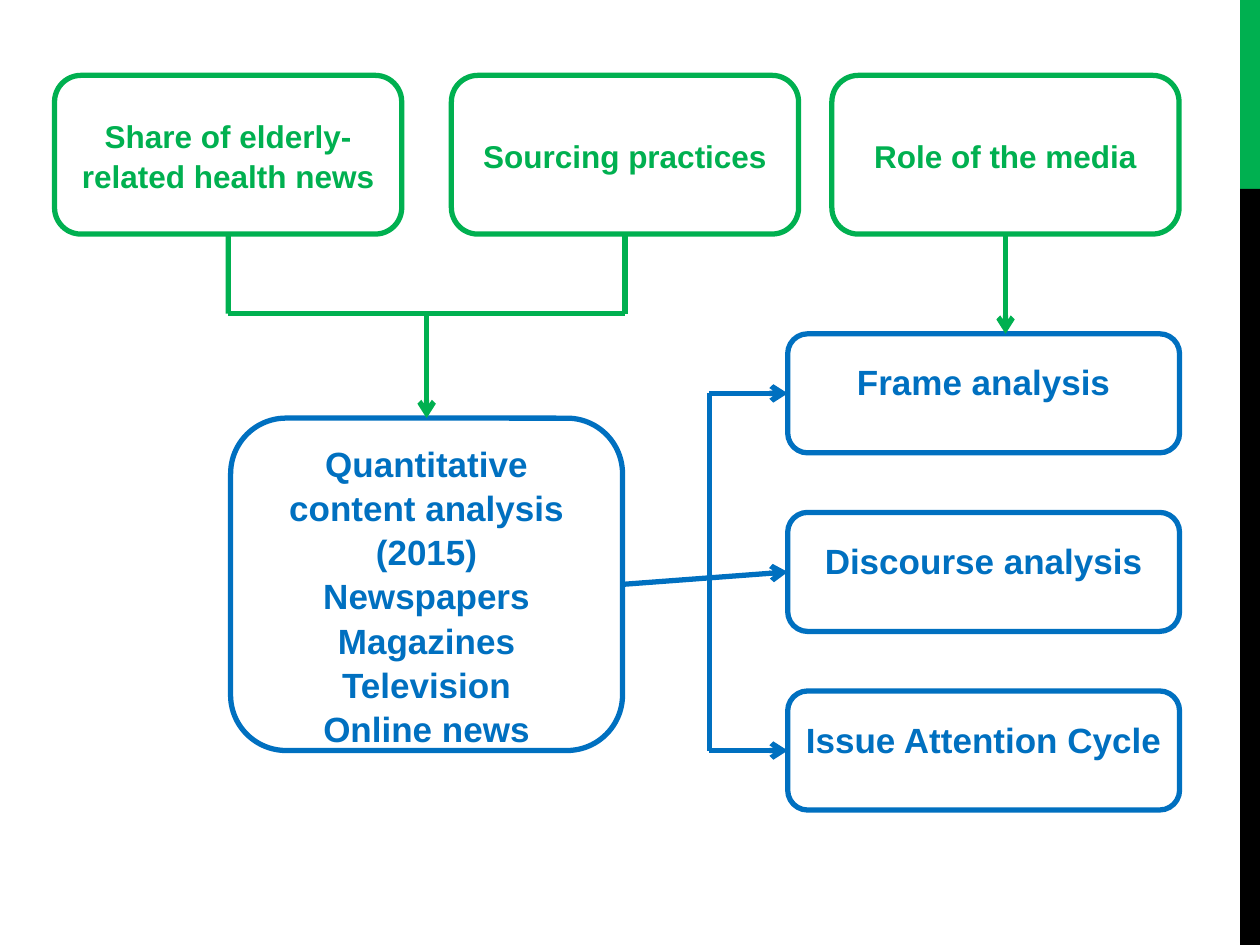
"""Build a research design slide linking themes to analysis methods."""
from lxml import etree
from pptx import Presentation
from pptx.dml.color import RGBColor
from pptx.enum.shapes import MSO_CONNECTOR, MSO_SHAPE
from pptx.enum.text import MSO_ANCHOR, PP_ALIGN
from pptx.oxml.ns import qn
from pptx.util import Cm, Pt

STRAIGHT = MSO_CONNECTOR.STRAIGHT
RECTANGLE, ROUNDED = MSO_SHAPE.RECTANGLE, MSO_SHAPE.ROUNDED_RECTANGLE
TOP, MIDDLE, BOTTOM = MSO_ANCHOR.TOP, MSO_ANCHOR.MIDDLE, MSO_ANCHOR.BOTTOM
CENTER = PP_ALIGN.CENTER
color = RGBColor.from_string
GREEN, BLUE, BLACK = "00B050", "0070C0", "000000"

deck = Presentation()
deck.slide_width, deck.slide_height = Cm(25.4), Cm(19.05)
page = deck.slides.add_slide(deck.slide_layouts[6])


def add_box(place, lines, hue, size, frame_format):
    box = page.shapes.add_shape(ROUNDED, *map(Cm, place))
    box.shadow.inherit = False
    box.fill.background()
    box.line.color.rgb = color(hue)
    box.line.width = Pt(3)
    frame = box.text_frame
    for name, value in {"word_wrap": True, **frame_format}.items():
        setattr(frame, name, value)
    for index, line in enumerate(lines):
        para = frame.paragraphs[0] if index == 0 else frame.add_paragraph()
        para.alignment = CENTER
        para.line_spacing = 1.05
        span = para.add_run()
        span.text = line
        for name, value in {"name": "Arial", "size": Pt(size), "bold": True}.items():
            setattr(span.font, name, value)
        span.font.color.rgb = color(hue)
    return box


def add_line(start, end, hue, arrow=False, source=None, target=None):
    line = page.shapes.add_connector(STRAIGHT, *map(Cm, start + end))
    line.line.color.rgb = color(hue)
    line.line.width = Pt(3)
    if arrow:
        etree.SubElement(line.line._get_or_add_ln(), qn("a:tailEnd"), type="arrow")
    etree.SubElement(line._element.spPr, qn("a:effectLst"))
    if source:
        line.begin_connect(*source)
    if target:
        line.end_connect(*target)


for top, height, hue in ((0, 3.81, GREEN), (3.81, 15.24, BLACK)):
    bar = page.shapes.add_shape(RECTANGLE, Cm(25), Cm(top), Cm(0.4), Cm(height))
    bar.shadow.inherit = False
    bar.fill.solid()
    bar.fill.fore_color.rgb = color(hue)
    bar.line.fill.background()

theme_top, theme_width, theme_height = 1.52, 7, 3.2
theme_bottom = theme_top + theme_height
themes = []
for left, label in (
    (1.1, "Share of elderly-related health news"),
    (9.1, "Sourcing practices"),
    (16.77, "Role of the media"),
):
    place = (left, theme_top, theme_width, theme_height)
    box = add_box(place, [label], GREEN, 18, {"vertical_anchor": MIDDLE})
    themes.append((box, left + theme_width / 2))

content_left, content_top, box_width, content_height = 4.65, 8.43, 7.9, 6.7
content_lines = [
    "Quantitative content analysis",
    "(2015)",
    "Newspapers",
    "Magazines",
    "Television",
    "Online news",
]
content = add_box(
    (content_left, content_top, box_width, content_height),
    content_lines, BLUE, 20, {"vertical_anchor": TOP},
)

method_left, method_top, method_height, method_step = 15.88, 6.73, 2.4, 3.6
method_format = {
    "vertical_anchor": BOTTOM,
    "margin_left": Cm(0.15),
    "margin_right": Cm(0.15),
    "margin_bottom": Cm(0.89),
}
methods = []
for index, label in enumerate(
    ("Frame analysis", "Discourse analysis", "Issue Attention Cycle")
):
    top = method_top + index * method_step
    place = (method_left, top, box_width, method_height)
    box = add_box(place, [label], BLUE, 20, method_format)
    methods.append((box, top + method_height / 2))

join_y = 6.32
for box, x in themes[:2]:
    add_line((x, theme_bottom), (x, join_y), GREEN, source=(box, 2))
add_line((themes[0][1], join_y), (themes[1][1], join_y), GREEN)
content_x = content_left + box_width / 2
add_line((content_x, join_y), (content_x, content_top), GREEN, True, target=(content, 0))
media, media_x = themes[2]
add_line((media_x, theme_bottom), (media_x, method_top), GREEN, True, source=(media, 2))

branch_x = 14.3
add_line((branch_x, methods[0][1]), (branch_x, methods[2][1]), BLUE)
discourse, discourse_y = methods[1]
add_line(
    (content_left + box_width, content_top + content_height / 2),
    (method_left, discourse_y),
    BLUE, True, source=(content, 3), target=(discourse, 1),
)
for box, y in methods[::2]:
    add_line((branch_x, y), (method_left, y), BLUE, True, target=(box, 1))

deck.save("out.pptx")
